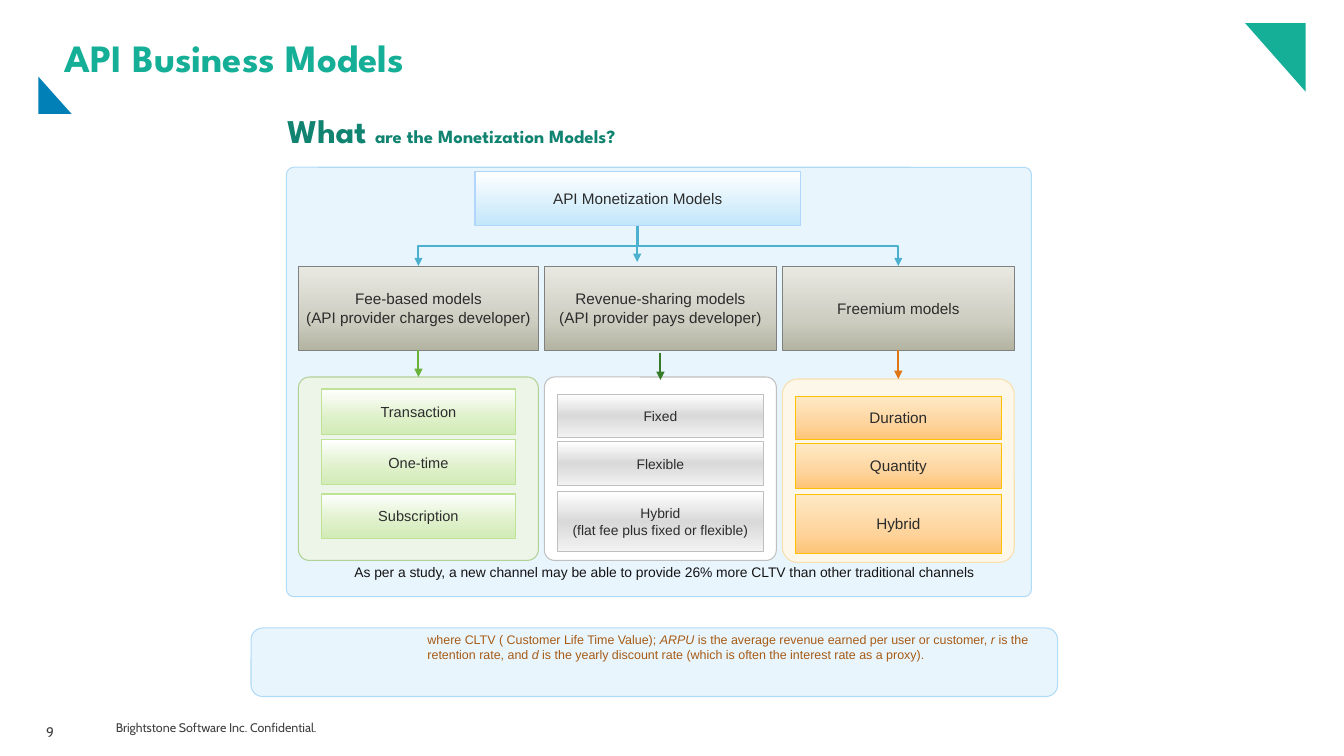
from lxml.etree import SubElement
from pptx import Presentation
from pptx.dml.color import RGBColor
from pptx.enum.shapes import MSO_CONNECTOR, MSO_SHAPE
from pptx.enum.text import MSO_ANCHOR, PP_ALIGN
from pptx.oxml.ns import qn
from pptx.util import Pt

PX = 9144
TEAL = RGBColor(0x15, 0xAF, 0x97)
BLUE = RGBColor(0x00, 0x80, 0xB7)
DEEP = RGBColor(0x10, 0x83, 0x71)
DARK = RGBColor(0x2C, 0x2C, 0x2C)
INK = RGBColor(0x14, 0x14, 0x14)
FOOT = RGBColor(0x40, 0x40, 0x40)
BROWN = RGBColor(0xA7, 0x5B, 0x15)
WHITE = RGBColor(0xFF, 0xFF, 0xFF)
PALE = RGBColor(0xE9, 0xF5, 0xFD)
EDGE = RGBColor(0xB0, 0xDB, 0xF6)
SKY = RGBColor(0xC2, 0xE6, 0xFA)
RIM = RGBColor(0xB2, 0xD5, 0xFC)
CYAN = RGBColor(0x4B, 0xB1, 0xCE)
GREY = RGBColor(0x80, 0x80, 0x80)
SILVER = RGBColor(0xBF, 0xBF, 0xBF)
MINT = RGBColor(0xED, 0xF4, 0xE8)
LEAF = RGBColor(0xB1, 0xD2, 0x95)
LIME = RGBColor(0xBE, 0xE2, 0x96)
GREEN = RGBColor(0x6A, 0xB2, 0x3B)
FOREST = RGBColor(0x35, 0x7B, 0x29)
CREAM = RGBColor(0xFD, 0xF7, 0xE9)
SAND = RGBColor(0xF8, 0xDF, 0xAE)
GOLD = RGBColor(0xFF, 0xC0, 0x00)
RUST = RGBColor(0xDF, 0x77, 0x17)

BLUES = [(0, WHITE), (100, SKY)]
STONES = [(0, RGBColor(0xE9, 0xE9, 0xE3)), (65, RGBColor(0xCD, 0xCD, 0xC1)),
          (100, RGBColor(0xB4, 0xB4, 0xA2))]
GREENS = [(0, WHITE), (65, RGBColor(0xDD, 0xF0, 0xC8)),
          (100, RGBColor(0xD2, 0xEB, 0xB7))]
GREYS = [(0, WHITE), (50, RGBColor(0xD9, 0xD9, 0xD9)),
         (100, RGBColor(0xF2, 0xF2, 0xF2))]
GOLDS = [(0, RGBColor(0xFE, 0xE9, 0xC6)), (65, RGBColor(0xFE, 0xD4, 0x9C)),
         (100, RGBColor(0xFD, 0xC4, 0x76))]


def scale(*sizes):
    return [size * PX for size in sizes]


def write(shape, lines, size, color, font="Arial", bold=False, align=PP_ALIGN.LEFT,
          anchor=MSO_ANCHOR.TOP, pad=(7, 4), wrap=True):
    frame = shape.text_frame
    frame.word_wrap = wrap
    frame.vertical_anchor = anchor
    frame.margin_left = frame.margin_right = pad[0] * PX
    frame.margin_top = frame.margin_bottom = pad[1] * PX
    for at, line in enumerate(lines):
        para = frame.add_paragraph() if at else frame.paragraphs[0]
        para.alignment = align
        for text, *style in line:
            run = para.add_run()
            run.text = text
            run.font.name = font
            run.font.size = Pt(style[0] if style else size)
            run.font.bold = bold
            run.font.italic = len(style) > 1
            run.font.color.rgb = color
    return frame.paragraphs[0]


def label(slide, box, lines, size, color, **style):
    return write(slide.shapes.add_textbox(*scale(*box)), lines, size, color, **style)


def block(slide, box, fill, edge, width, round_by=None):
    kind = MSO_SHAPE.RECTANGLE if round_by is None else MSO_SHAPE.ROUNDED_RECTANGLE
    shape = slide.shapes.add_shape(kind, *scale(*box))
    shape.shadow.inherit = False
    if round_by is not None:
        shape.adjustments[0] = round_by
    if isinstance(fill, list):
        shape.fill.gradient()
        grad = shape._element.spPr.find(qn("a:gradFill"))
        stops = grad.find(qn("a:gsLst"))
        for stop in list(stops):
            stops.remove(stop)
        for place, color in fill:
            stop = SubElement(stops, qn("a:gs"), pos=str(place * 1000))
            SubElement(stop, qn("a:srgbClr"), val=str(color))
        grad.find(qn("a:lin")).set("ang", "5400000")
    else:
        shape.fill.solid()
        shape.fill.fore_color.rgb = fill
    shape.line.color.rgb = edge
    shape.line.width = Pt(width)
    return shape


def tile(slide, box, text, size, fill, edge, width):
    shape = block(slide, box, fill, edge, width)
    write(shape, [[(line,)] for line in text.split("\n")], size, DARK,
          align=PP_ALIGN.CENTER, anchor=MSO_ANCHOR.MIDDLE, pad=(3, 3))
    return shape


def arrow(slide, ends, color, kind=MSO_CONNECTOR.STRAIGHT):
    line = slide.shapes.add_connector(kind, *scale(*ends))
    line.line.color.rgb = color
    line.line.width = Pt(1.5)
    SubElement(line.line._get_or_add_ln(), qn("a:tailEnd"), type="triangle")
    SubElement(line._element.spPr, qn("a:effectLst"))
    return line


def branch(slide, top, card):
    x, y = top.left + top.width // 2, top.top + top.height
    end = card.left + card.width // 2
    line = arrow(slide, (0, 0, 1, 1), CYAN, MSO_CONNECTOR.ELBOW)
    line.begin_connect(top, 2)
    line.end_connect(card, 0)
    drop, span = card.top - y, abs(end - x)
    line.width, line.height = drop, span
    line.left = (x + end - drop) // 2
    line.top = (y + card.top - span) // 2
    right = end > x
    form = line._element.spPr.find(qn("a:xfrm"))
    form.set("rot", str((270 if right else 90) * 60000))
    form.set("flipH", str(int(right)))
    form.set("flipV", "0")


def column(slide, box, name, look, items):
    x, y, w, deep = box
    fill, edge, bend, shades, rim, width, size, inset, color, start = look
    card = tile(slide, (x, y, w, 83), name, 10.9, STONES, GREY, 0.25)
    panel = block(slide, (x, y + deep, w, 182), fill, edge, 0.75, bend)
    for text, top, high in items:
        tile(slide, (x + inset, y + deep + top, w - 2 * inset, high),
             text, size, shades, rim, width)
    mid = x + w // 2
    line = arrow(slide, (mid, y + start, mid, y + start + 27), color)
    if start == 83:
        line.begin_connect(card, 2)
        line.end_connect(panel, 0)
    return card


def chart(slide, box):
    x, y, w, h = box
    block(slide, box, PALE, EDGE, 0.75, 0.017)
    label(slide, (x - 9, y - 61, 718, 60),
          [[("What ",), ("are the Monetization Models?", 13.3)]], 23.7, DEEP,
          font="League Spartan", bold=True, pad=(10, 5))
    top = tile(slide, (x + 187, y + 4, 323, 54), "API Monetization Models",
               10.9, BLUES, RIM, 1)
    row = y + 98
    fee = column(slide, (x + 12, row, 238, 110),
                 "Fee-based models\n(API provider charges developer)",
                 (MINT, LEAF, 0.06, GREENS, LIME, 1, 10.4, 23, GREEN, 83),
                 [("Transaction", 12, 45), ("One-time", 62, 45),
                  ("Subscription", 116, 44)])
    column(slide, (x + 256, row, 230, 110),
           "Revenue-sharing models\n(API provider pays developer)",
           (WHITE, SILVER, 0.056, GREYS, SILVER, 0.75, 9.9, 13, FOREST, 86),
           [("Fixed", 17, 43), ("Flexible", 64, 44),
            ("Hybrid\n(flat fee plus fixed or flexible)", 114, 59)])
    free = column(slide, (x + 492, row, 230, 112), "Freemium models",
                  (CREAM, SAND, 0.084, GOLDS, GOLD, 0.25, 10.9, 13, RUST, 83),
                  [("Duration", 17, 43), ("Quantity", 64, 44), ("Hybrid", 114, 59)])
    for card in (fee, free):
        branch(slide, top, card)
    arrow(slide, (x + 348, y + 58, x + 348, y + 94), CYAN)
    label(slide, (x + 12, y + 389, 726, 24),
          [[("As per a study, a new channel may be able to provide 26% more CLTV "
             "than other traditional channels",)]], 9.9, INK, align=PP_ALIGN.CENTER)


def note(slide, box):
    x, y, w, h = box
    block(slide, box, PALE, EDGE, 0.75, 0.17)
    label(slide, (x + 168, y, 654, 37), [[
        ("where CLTV ( Customer Life Time Value); ",), ("ARPU", 8.9, "i"),
        (" is the average revenue earned per user or customer, ",), ("r", 8.9, "i"),
        (" is the retention rate, and ",), ("d", 8.9, "i"),
        (" is the yearly discount rate (which is often the interest rate as a proxy).",),
    ]], 8.9, BROWN)


def corner(slide, points, color):
    first, *rest = points
    form = slide.shapes.build_freeform(*first, scale=PX)
    form.add_line_segments(rest, close=True)
    shape = form.convert_to_shape()
    shape.shadow.inherit = False
    shape.fill.solid()
    shape.fill.fore_color.rgb = color
    shape.line.fill.background()


def header(slide, box):
    x, y, w, h = box
    corner(slide, [(x + 1197, y), (x + 1257, y), (x + 1257, y + 68)], TEAL)
    corner(slide, [(x + 33, y + 90), (x, y + 90), (x, y + 53)], BLUE)
    title = label(slide, (x + 26, y + 15, 1201, 42), [[("API Business Models",)]],
                  27.6, TEAL, font="League Spartan", bold=True,
                  anchor=MSO_ANCHOR.MIDDLE, pad=(0, 0))
    title.line_spacing = 0.9


def footer(slide, box):
    x, y, w, h = box
    label(slide, (x + 69, y, 273, h), [[("Brightstone Software Inc. Confidential.",)]],
          8.9, FOOT, font="Cabin", anchor=MSO_ANCHOR.MIDDLE, pad=(10, 10))
    number = label(slide, (x, y + 1, 37, 31), [[("9",)]], 9.9, FOOT, font="Cabin",
                   pad=(10, 5), wrap=False)
    number.line_spacing = Pt(16.8)
    number.space_after = Pt(2)


def main():
    deck = Presentation()
    deck.slide_width, deck.slide_height = scale(1333, 750)
    slide = deck.slides.add_slide(deck.slide_layouts[6])
    footer(slide, (36, 705, 342, 34))
    header(slide, (38, 23, 1257, 90))
    note(slide, (249, 623, 800, 68))
    chart(slide, (284, 166, 739, 426))
    deck.save("out.pptx")


if __name__ == "__main__":
    main()
